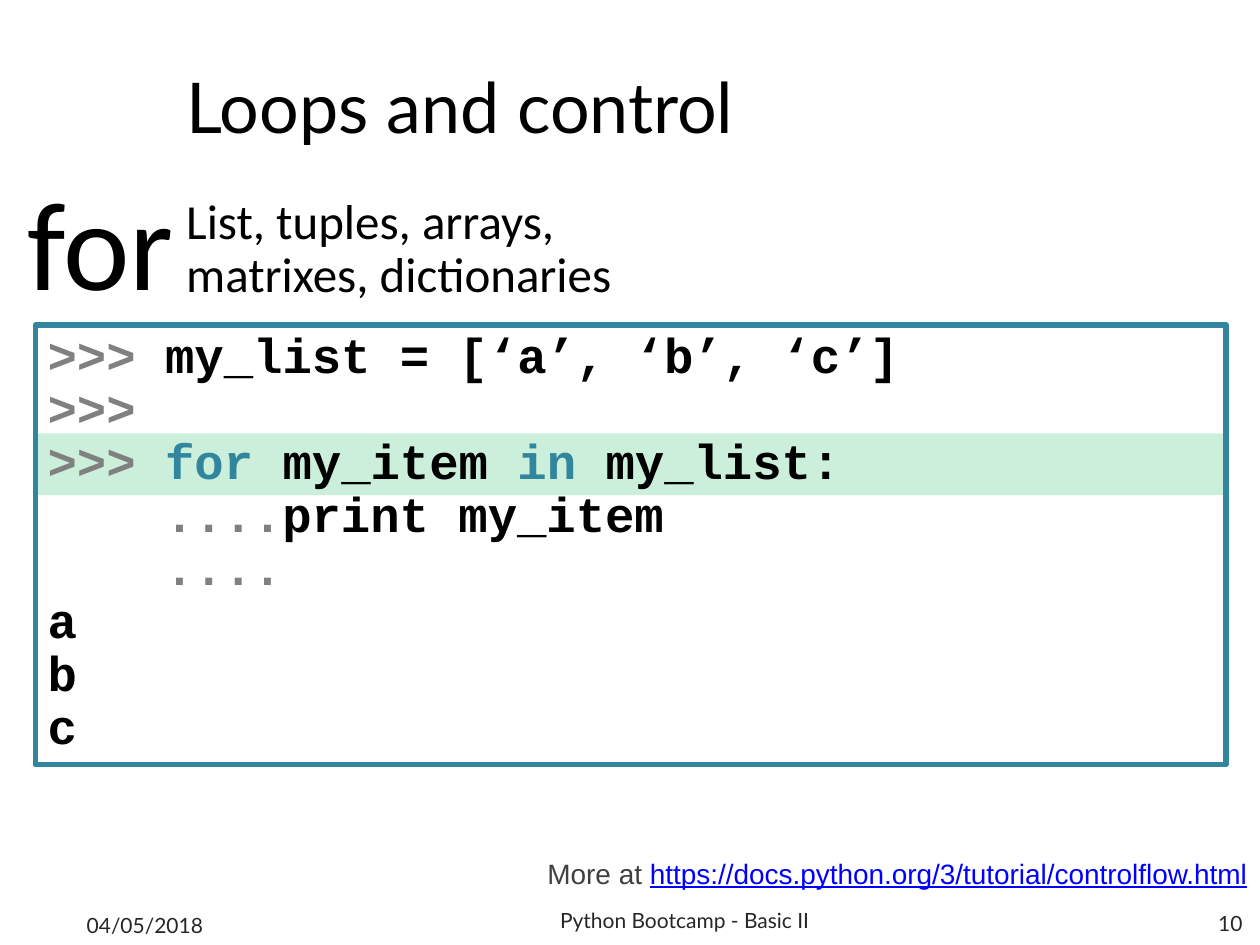
from dataclasses import dataclass

from lxml.etree import SubElement
from pptx import Presentation
from pptx.dml.color import RGBColor
from pptx.enum.shapes import MSO_SHAPE
from pptx.enum.text import MSO_ANCHOR, MSO_AUTO_SIZE, PP_ALIGN
from pptx.oxml.ns import qn
from pptx.util import Inches, Pt

BLACK = RGBColor(0x00, 0x00, 0x00)
GRAY = RGBColor(0x80, 0x80, 0x80)
DARK = RGBColor(0x40, 0x40, 0x40)
FOOTER = RGBColor(0x26, 0x26, 0x26)
TEAL = RGBColor(0x31, 0x85, 0x9C)
GREEN = RGBColor(0x00, 0xB0, 0x50)
BLUE = RGBColor(0x00, 0x00, 0xFF)

CODE_FORMAT = {"name": "Courier New", "size": Pt(28), "bold": True}
CODE_INDENT = Inches(0.93)  # four characters of 28 pt Courier New


@dataclass
class Run:
    text: str
    color: RGBColor = BLACK
    underline: bool | None = None


@dataclass
class Label:
    box: tuple[float, float, float, float]
    runs: list[Run]
    font: str
    size: int
    align: PP_ALIGN = PP_ALIGN.LEFT
    anchor: MSO_ANCHOR = MSO_ANCHOR.MIDDLE
    spacing: float = 1.0
    grow: bool = False


@dataclass
class CodeLine:
    runs: list[Run]
    indented: bool = False


LABELS = [
    Label((0.12, 1.39, 4.64, 1.19), [Run("for")], "Calibri", 72, spacing=0.9, grow=True),
    Label((1.38, 1.51, 4.64, 0.95), [Run("List, tuples, arrays, matrixes, dictionaries")],
          "Calibri", 28, spacing=0.9, grow=True),
    Label((0, 6.74, 10, 0.37),
          [Run("More at ", DARK),
           Run("https://docs.python.org/3/tutorial/controlflow.html", BLUE, True)],
          "Arial", 16, PP_ALIGN.RIGHT, MSO_ANCHOR.BOTTOM, grow=True),
    Label((0.59, 7.14, 2.33, 0.4), [Run("04/05/2018", FOOTER)], "Lato", 12),
    Label((3.15, 7.1, 4.57, 0.4), [Run("Python Bootcamp - Basic II", FOOTER)],
          "Lato", 12, PP_ALIGN.CENTER),
    Label((7.63, 7.13, 2.33, 0.4), [Run("10", FOOTER)], "Lato", 12, PP_ALIGN.RIGHT),
]

CODE = [
    CodeLine([Run(">>> ", GRAY), Run("my_list = [‘a’, ‘b’, ‘c’]")]),
    CodeLine([Run(">>>", GRAY)]),
    CodeLine([Run(">>>", GRAY), Run(" for ", TEAL), Run("my_item "),
              Run("in ", TEAL), Run("my_list:")]),
    CodeLine([Run("....", GRAY), Run("print my_item")], indented=True),
    CodeLine([Run("....", GRAY)], indented=True),
    *(CodeLine([Run(item)]) for item in "abc"),
]


def add_runs(p, runs: list[Run], formats: dict) -> None:
    for run in runs:
        r = p.add_run()
        r.text = run.text
        for name, value in (formats | {"underline": run.underline}).items():
            setattr(r.font, name, value)
        r.font.color.rgb = run.color


def add_label(s, label: Label) -> None:
    tf = s.shapes.add_textbox(*map(Inches, label.box)).text_frame
    tf.word_wrap = True
    tf.vertical_anchor = label.anchor
    tf.auto_size = MSO_AUTO_SIZE.SHAPE_TO_FIT_TEXT if label.grow else MSO_AUTO_SIZE.NONE
    p = tf.paragraphs[0]
    p.alignment = label.align
    p.line_spacing = label.spacing
    add_runs(p, label.runs, {"name": label.font, "size": Pt(label.size)})


def add_rectangle(s, top: float, height: float):
    sp = s.shapes.add_shape(MSO_SHAPE.RECTANGLE, Inches(0.28), Inches(top),
                            Inches(9.45), Inches(height))
    sp.shadow.inherit = False
    return sp


def add_highlight(s) -> None:
    sp = add_rectangle(s, 3.44, 0.49)
    sp.line.fill.background()
    sp.fill.solid()
    sp.fill.fore_color.rgb = GREEN
    color = sp.fill._xPr.find(qn("a:solidFill"))[0]
    SubElement(color, qn("a:alpha"), val="20000")


def add_code(s, lines: list[CodeLine]) -> None:
    sp = add_rectangle(s, 2.58, 3.49)
    sp.fill.background()
    sp.line.color.rgb = TEAL
    sp.line.width = Pt(3)
    tf = sp.text_frame
    tf.word_wrap = True
    tf.vertical_anchor = MSO_ANCHOR.TOP
    tf.auto_size = MSO_AUTO_SIZE.SHAPE_TO_FIT_TEXT
    for i, line in enumerate(lines):
        p = tf.add_paragraph() if i else tf.paragraphs[0]
        p.alignment = PP_ALIGN.LEFT
        p.line_spacing = 0.9
        if line.indented:
            p._p.get_or_add_pPr().set("marL", str(CODE_INDENT))
        add_runs(p, line.runs, CODE_FORMAT)


def set_title(s, text: str) -> None:
    title = s.shapes.title
    title.left, title.top, title.width, title.height = map(Inches, (1.38, 0.44, 8.12, 0.79))
    tf = title.text_frame
    tf.vertical_anchor = MSO_ANCHOR.MIDDLE
    p = tf.paragraphs[0]
    p.alignment = PP_ALIGN.LEFT
    add_runs(p, [Run(text)], {"name": "Lato", "size": Pt(40)})


def main() -> None:
    prs = Presentation()
    prs.slide_width, prs.slide_height = Inches(10), Inches(7.5)
    s = prs.slides.add_slide(prs.slide_layouts.get_by_name("Title Only"))
    set_title(s, "Loops and control")
    add_highlight(s)
    add_code(s, CODE)
    for label in LABELS:
        add_label(s, label)
    prs.save("out.pptx")


if __name__ == "__main__":
    main()
